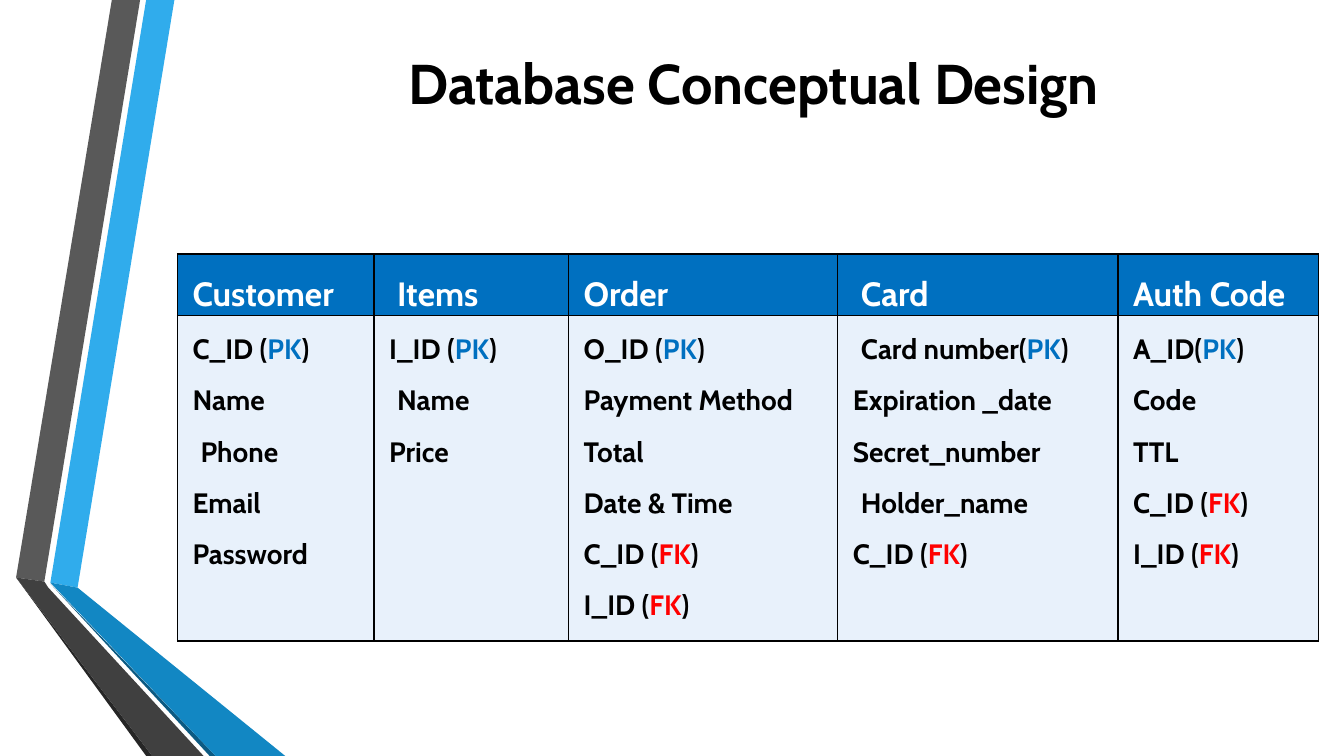
import pptx
import pptx.util
import pptx.dml.color
import pptx.enum.text
import pptx.oxml
from pptx.util import Inches

# Content: a trailing space marks a slightly indented line
TITLE = "Database Conceptual Design"
TABLES = {
    "Customer": ["C_ID (PK)", "Name", "Phone ", "Email", "Password"],
    "Items ": ["I_ID (PK)", "Name ", "Price"],
    "Order": ["O_ID (PK)", "Payment Method", "Total", "Date & Time",
              "C_ID (FK)", "I_ID (FK)"],
    "Card ": ["Card number(PK) ", "Expiration _date", "Secret_number",
              "Holder_name ", "C_ID (FK)"],
    "Auth Code": ["A_ID(PK)", "Code", "TTL", "C_ID (FK)", "I_ID (FK)"],
}
WIDTHS = [1.95, 1.93, 2.67, 2.78, 1.99]
HEIGHTS = [0.61, 3.23]
FONT = "Cabin"
COLORS = {
    "black": "000000", "white": "FFFFFF", "head": "0070C0", "body": "E8F1FB",
    "PK": "0070C0", "FK": "FF0000", "sky": "30ACEC", "gray": "595959",
    "coal": "262626", "navy": "0C5A82", "blue": "1287C3", "dark": "404040",
}
RIBBONS = [
    ("sky", [(0.5, 5.78), (0.77, 5.83), (1.73, 0), (1.45, 0)]),
    ("gray", [(1.39, 0), (1.11, 0), (0.16, 5.73), (0.44, 5.77)]),
    ("coal", [(0.16, 5.73), (1.45, 7.5), (1.51, 7.5)]),
    ("navy", [(0.5, 5.79), (2.08, 7.5), (2.14, 7.5)]),
    ("blue", [(0.5, 5.78), (2.14, 7.5), (2.83, 7.5), (0.77, 5.83)]),
    ("dark", [(0.16, 5.73), (1.51, 7.5), (2.02, 7.5), (0.48, 5.83),
              (0.44, 5.77)]),
]


def color(name):
    return pptx.dml.color.RGBColor.from_string(COLORS[name])


def style(run, size, tint):
    run.font.name = FONT
    run.font.size = pptx.util.Pt(size)
    run.font.bold = True
    run.font.color.rgb = color(tint)


def write(para, text, size, tint):
    """Write one line, with its key mark in the key's own colour."""
    key = next((k for k in ("PK", "FK") if f"({k})" in text), None)
    parts = text.partition(key) if key else (text,)
    for part in parts:
        run = para.add_run()
        run.text = part
        style(run, size, key if part == key else tint)
    para.line_spacing = 1.5
    indent = 0.08 * (1 + text.endswith(" "))
    para._p.get_or_add_pPr().set("marL", str(Inches(indent)))


def border(cell):
    props = cell._tc.get_or_add_tcPr()
    space = "http://schemas.openxmlformats.org/drawingml/2006/main"
    for spot, side in enumerate(("lnL", "lnR", "lnT", "lnB")):
        props.insert(spot, pptx.oxml.parse_xml(
            f'<a:{side} xmlns:a="{space}" w="12700"><a:solidFill>'
            f'<a:srgbClr val="{COLORS["black"]}"/></a:solidFill></a:{side}>'))


def fill(cell, lines, size, tint, back):
    cell.margin_left = cell.margin_right = Inches(0.07)
    cell.margin_top = cell.margin_bottom = 0
    cell.fill.solid()
    cell.fill.fore_color.rgb = color(back)
    border(cell)
    frame = cell.text_frame
    for spot, line in enumerate(lines):
        para = frame.add_paragraph() if spot else frame.paragraphs[0]
        write(para, line, size, tint)


deck = pptx.Presentation()
deck.slide_width, deck.slide_height = Inches(13.33), Inches(7.5)
slide = deck.slides.add_slide(deck.slide_layouts[6])
shapes = slide.shapes

# Folded ribbons on the left
for tint, points in RIBBONS:
    spots = [(Inches(x), Inches(y)) for x, y in points]
    pen = shapes.build_freeform(*spots[0])
    pen.add_line_segments(spots[1:], close=True)
    ribbon = pen.convert_to_shape()
    ribbon.shadow.inherit = False
    ribbon.fill.solid()
    ribbon.fill.fore_color.rgb = color(tint)
    ribbon.line.fill.background()

# Title
box = shapes.add_textbox(Inches(2.5), Inches(0.28), Inches(9.95), Inches(1.07))
frame = box.text_frame
frame.word_wrap = True
frame.vertical_anchor = pptx.enum.text.MSO_ANCHOR.MIDDLE
frame.text = TITLE
frame.paragraphs[0].alignment = pptx.enum.text.PP_ALIGN.CENTER
style(frame.paragraphs[0].runs[0], 40, "black")

# Table of entities
grid = shapes.add_table(2, len(TABLES), Inches(1.76), Inches(2.52),
                        Inches(sum(WIDTHS)), Inches(sum(HEIGHTS))).table
for row, height in zip(grid.rows, HEIGHTS):
    row.height = Inches(height)
for col, (name, fields) in enumerate(TABLES.items()):
    grid.columns[col].width = Inches(WIDTHS[col])
    fill(grid.cell(0, col), [name], 24, "white", "head")
    fill(grid.cell(1, col), fields, 20, "black", "body")

deck.save("out.pptx")
